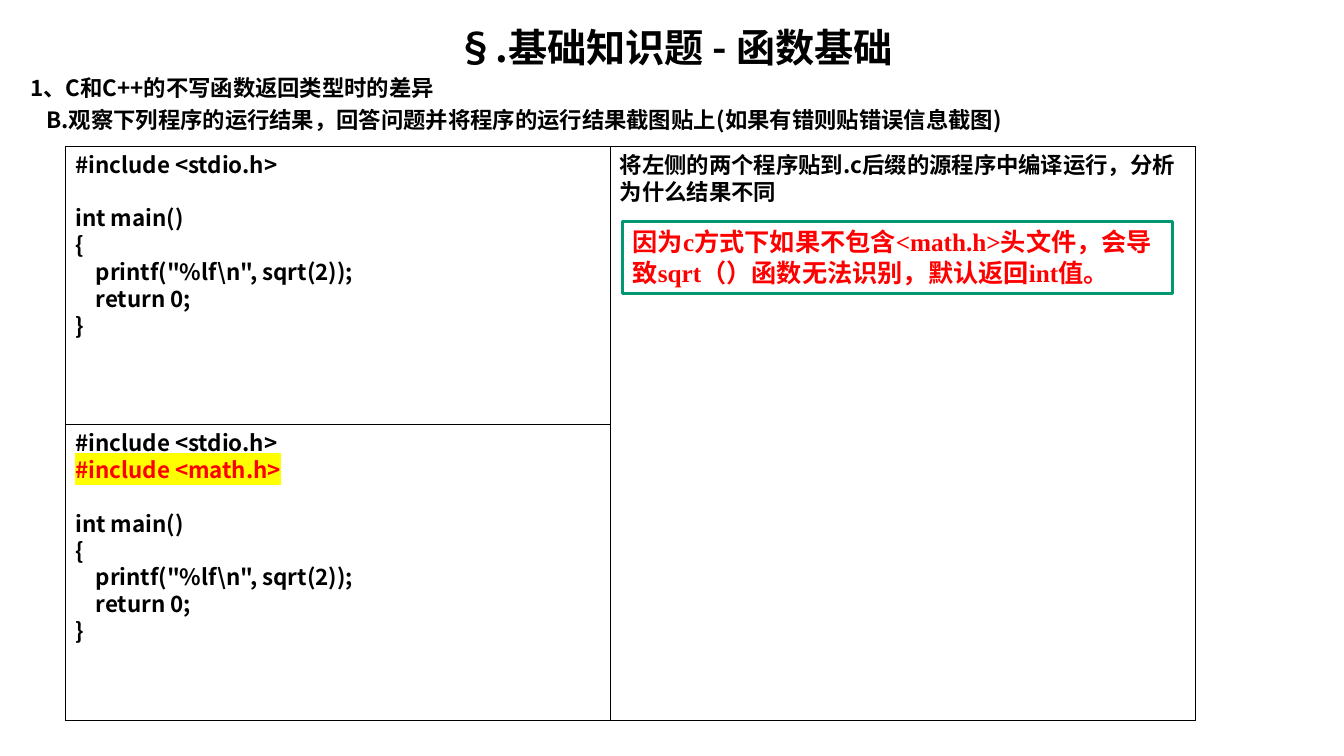
import pptx
import pptx.util
import pptx.dml.color
import pptx.enum.shapes
import pptx.enum.text
import pptx.oxml.ns
import lxml.etree

Pt = pptx.util.Pt
RGBColor = pptx.dml.color.RGBColor
ALIGN = pptx.enum.text.PP_ALIGN
FIT = pptx.enum.text.MSO_AUTO_SIZE
qn = pptx.oxml.ns.qn

BLACK = RGBColor(0x00, 0x00, 0x00)
RED = RGBColor(0xFF, 0x00, 0x00)
YELLOW = RGBColor(0xFF, 0xFF, 0x00)
GREEN = RGBColor(0x00, 0x97, 0x71)
SANS = "Noto Sans CJK SC"
SERIF = "Times New Roman"
LINE = 19  # height of one code line

BODY = ["#include <stdio.h>", "int main()", "{",
        '    printf("%lf\\n", sqrt(2));', "    return 0;", "}"]
MATH = "#include <math.h>"


def style(para, size, color=BLACK, face=SANS):
    for run in para.runs:
        font = run.font
        font.size, font.bold, font.name = Pt(size), True, face
        font.color.rgb = color
        east = lxml.etree.Element(qn("a:ea"), typeface=SANS)
        run._r.rPr.find(qn("a:latin")).addnext(east)


def mark(para, color):
    """Highlight the runs of a paragraph."""
    for run in para.runs:
        light = lxml.etree.Element(qn("a:highlight"))
        lxml.etree.SubElement(light, qn("a:srgbClr"), val=str(color))
        run._r.rPr.find(qn("a:solidFill")).addnext(light)


def place(shape, box):
    shape.left, shape.top, shape.width, shape.height = map(Pt, box)


def fill(shape, lines):
    """Write one paragraph a line, from the top of the shape."""
    frame = shape.text_frame
    frame.word_wrap = True
    frame.auto_size = FIT.NONE
    frame.vertical_anchor = pptx.enum.text.MSO_ANCHOR.TOP
    frame.text = "\n".join(lines)
    return frame.paragraphs


def head(slide, box):
    """Title line with the two question lines below it."""
    left, top, width, high = box
    title, body = slide.placeholders
    place(title, (left, top, width, 40))
    para = fill(title, ["§.基础知识题 - 函数基础"])[0]
    para.alignment = ALIGN.CENTER
    style(para, 28)

    place(body, (left, top + 36, width, high - 36))
    lines = ["1、C和C++的不写函数返回类型时的差异",
             "B.观察下列程序的运行结果，回答问题并将程序的运行结果截图贴上(如果有错则贴错误信息截图)"]
    for step, para in enumerate(fill(body, lines)):
        props = para._p.get_or_add_pPr()
        props.set("marL", str(Pt(11.5 * step)))
        props.set("indent", "0")
        lxml.etree.SubElement(props, qn("a:buNone"))
        para.space_before = Pt(3.8 * step)
        style(para, 16)


def panel(slide, box, lines, edge=BLACK, weight=0.75):
    """Unfilled rectangle with text at its top left."""
    shape = slide.shapes.add_shape(
        pptx.enum.shapes.MSO_SHAPE.RECTANGLE, *map(Pt, box))
    shape.shadow.inherit = False
    shape.fill.background()
    shape.line.color.rgb = edge
    shape.line.width = Pt(weight)
    for para in fill(shape, lines):
        para.alignment = ALIGN.LEFT
        style(para, 16)
    return shape


def code(slide, box, lines):
    """Program listing, with a gap above main and math.h marked."""
    for para in panel(slide, box, lines).text_frame.paragraphs:
        if para.text == "int main()":
            para.space_before = Pt(LINE)
        elif para.text == MATH:
            style_red(para)


def style_red(para):
    for run in para.runs:
        run.font.color.rgb = RED
    mark(para, YELLOW)


def note(slide, box):
    """Answer in a green frame."""
    text = "因为c方式下如果不包含<math.h>头文件，会导致sqrt（）函数无法识别，默认返回int值。"
    shape = panel(slide, box, [], GREEN, 2.25)
    frame = shape.text_frame
    frame.text = text
    frame.paragraphs[0].alignment = ALIGN.LEFT
    style(frame.paragraphs[0], 18, RED, SERIF)
    frame.auto_size = FIT.SHAPE_TO_FIT_TEXT


def grid(slide, box):
    """Two programs on the left, the question on the right."""
    left, top, width, high = box
    split, half = 389, 198.8
    code(slide, box, BODY)
    panel(slide, (left + split, top, width - split, high),
          ["将左侧的两个程序贴到.c后缀的源程序中编译运行，分析为什么结果不同"])
    code(slide, (left, top + half, split, high - half),
         BODY[:1] + [MATH] + BODY[1:])
    note(slide, (left + split + 9, top + 54, 393, 51))


def main():
    deck = pptx.Presentation()
    deck.slide_width, deck.slide_height = Pt(960), Pt(540)
    slide = deck.slides.add_slide(deck.slide_layouts[1])
    head(slide, (14.4, 13, 935, 88))
    grid(slide, (46.8, 104.4, 807, 410.4))
    deck.save("out.pptx")


if __name__ == "__main__":
    main()
